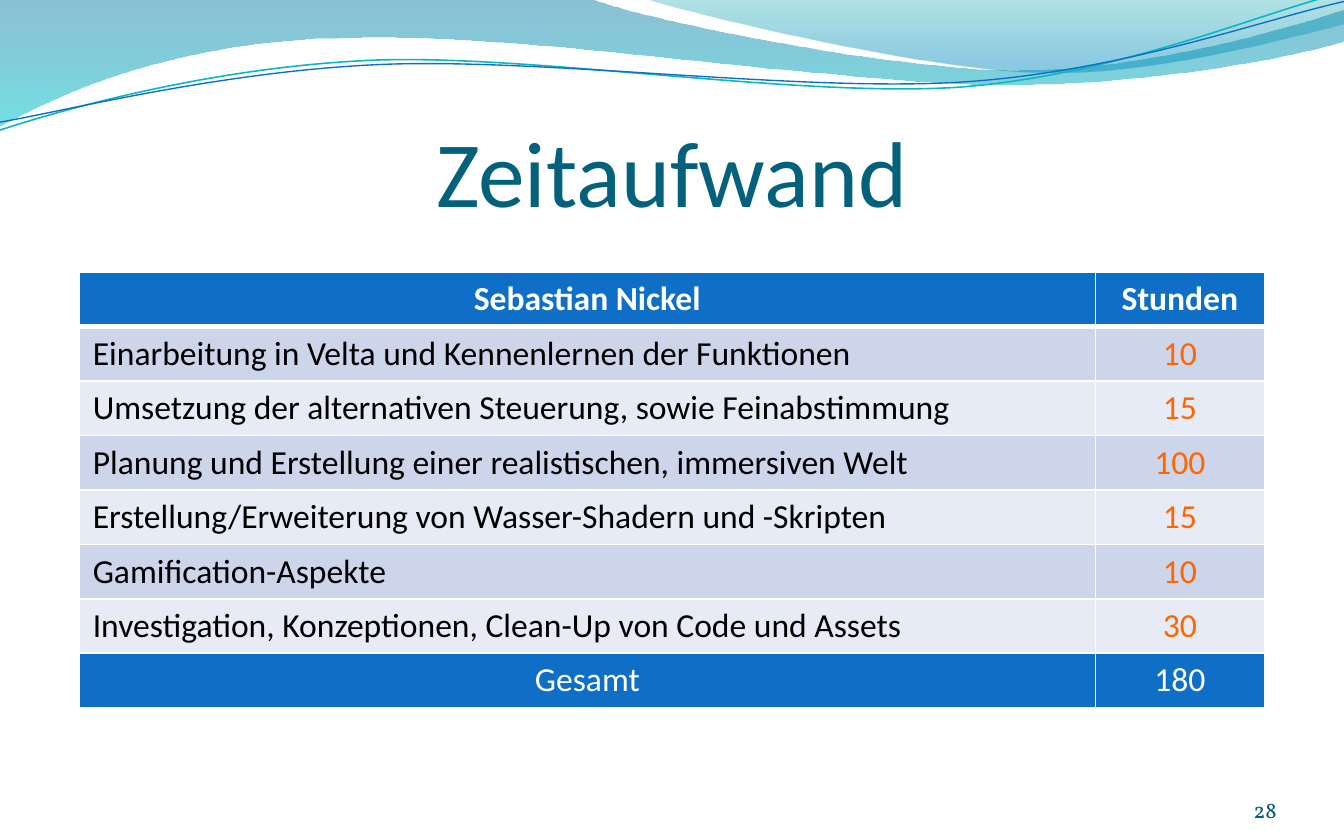
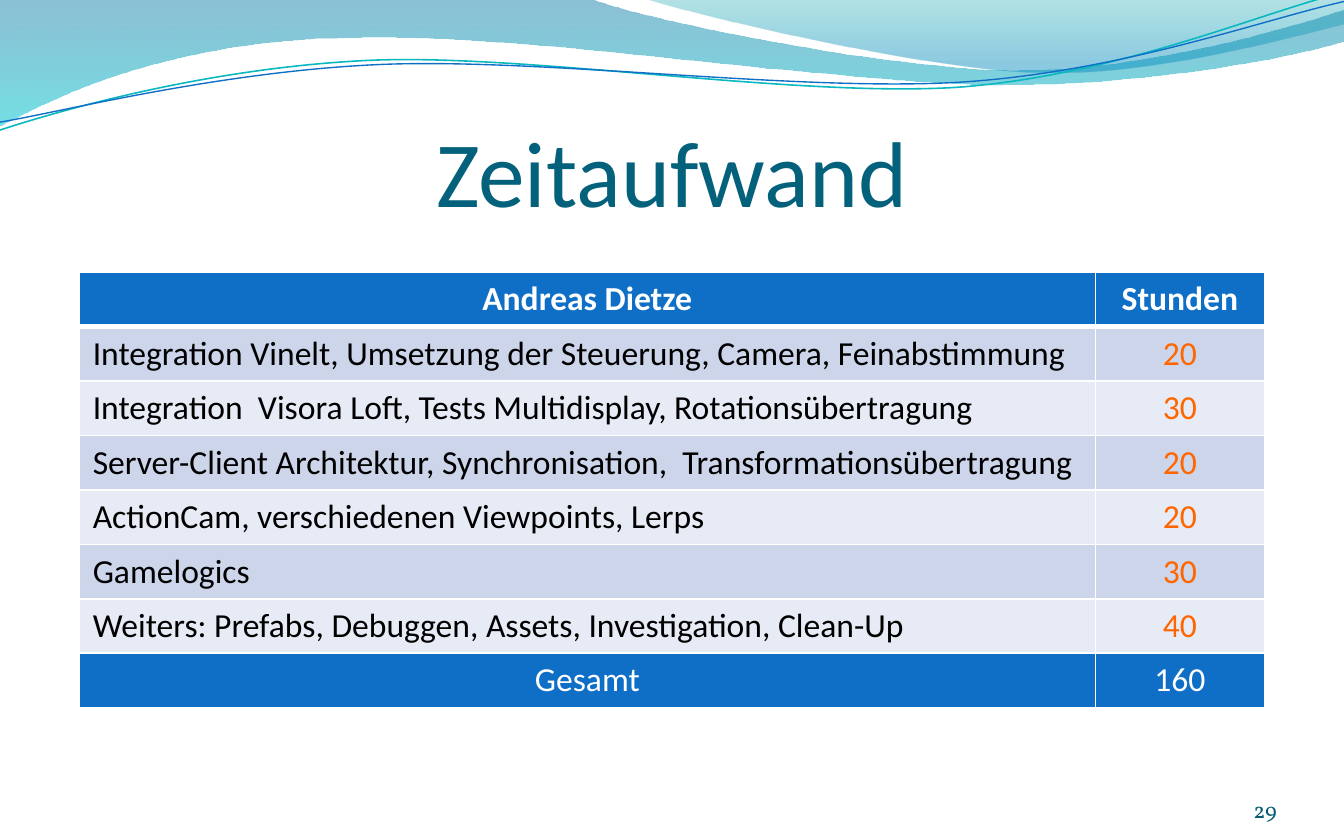
from pptx import Presentation
from pptx import util as u
from pptx.dml.color import RGBColor
from pptx.enum import text
from pptx.oxml import parse_xml
from pptx.oxml.ns import nsdecls, qn

COLOURS = {
    "title": "04617B", "number": "045D75", "head": "0F6FC6",
    "odd": "CCD5EA", "even": "E7EBF5", "hours": "FF6600",
    "white": "FFFFFF", "black": "000000", "teal line": "0AB8BF",
    "sea": "0074A1", "cyan": "00C6CF", "green": "00A1A9", "sky": "008BBF",
}
LEFT, CENTRE, RIGHT = text.PP_ALIGN.LEFT, text.PP_ALIGN.CENTER, text.PP_ALIGN.RIGHT

# Outlines in cm: a start point, then segments of one point (straight)
# or three points (cubic curve).
WIDE_WAVE = [
    (0, 0), [(11.18, -0.03)],
    [(12.09, 0.36), (16.87, 1.32), (19.25, 1.32)],
    [(21.67, 1.32), (24.33, 0.53), (25.4, 0.18)],
    [(25.43, 0.76)],
    [(24.97, 0.94), (22.1, 1.6), (18.95, 1.6)],
    [(15.8, 1.6), (9.7, 0.58), (6.53, 0.71)],
    [(3.28, 0.76), (1.17, 1.75), (-0.03, 2.39)],
]
RIGHT_WAVE = [
    (12.17, -0.03),
    [(12.93, 0.23), (17.32, 1.3), (19.53, 1.37)],
    [(21.74, 1.47), (24.41, 0.69), (25.4, 0.46)],
    [(25.4, 0)],
]
TEAL_STROKE = [
    (0, 2.46),
    [(1.22, 2.06), (4.01, 1.27), (7.04, 1.14)],
    [(10.03, 1.02), (15.04, 1.85), (18.11, 1.65)],
    [(21.16, 1.42), (23.85, 0.23), (25.35, -0.13)],
]
BLUE_STROKE = [
    (0, 2.31),
    [(1.19, 2.11), (4.17, 1.35), (7.19, 1.22)],
    [(10.24, 1.09), (15.16, 1.75), (18.21, 1.55)],
    [(21.23, 1.35), (23.9, 0.36), (25.4, 0.03)],
]

EFFORTS = [
    (28, "Sebastian Nickel", [
        ("Einarbeitung in Velta und Kennenlernen der Funktionen", 10),
        ("Umsetzung der alternativen Steuerung, sowie Feinabstimmung", 15),
        ("Planung und Erstellung einer realistischen, immersiven Welt", 100),
        ("Erstellung/Erweiterung von Wasser-Shadern und -Skripten", 15),
        ("Gamification-Aspekte", 10),
        ("Investigation, Konzeptionen, Clean-Up von Code und Assets", 30),
    ]),
    (29, "Andreas Dietze", [
        ("Integration Vinelt, Umsetzung der Steuerung, Camera, Feinabstimmung", 20),
        ("Integration  Visora Loft, Tests Multidisplay, Rotationsübertragung", 30),
        ("Server-Client Architektur, Synchronisation,  Transformationsübertragung", 20),
        ("ActionCam, verschiedenen Viewpoints, Lerps", 20),
        ("Gamelogics", 30),
        ("Weiters: Prefabs, Debuggen, Assets, Investigation, Clean-Up", 40),
    ]),
]


def rgb(name):
    return RGBColor.from_string(COLOURS[name])


def add_outline(page, outline, close):
    """Build a freeform through all points, then merge line triples into curves."""
    start, *segments = outline
    builder = page.shapes.build_freeform(*map(u.Cm, start))
    points = [(u.Cm(x), u.Cm(y)) for segment in segments for x, y in segment]
    builder.add_line_segments(points, close=close)
    shape = builder.convert_to_shape()
    shape.shadow.inherit = False
    lines = iter(list(shape._element.iter(qn("a:lnTo"))))
    for segment in segments:
        parts = [next(lines) for _ in segment]
        if len(parts) == 3:
            curve = parse_xml(f'<a:cubicBezTo {nsdecls("a")}/>')
            parts[0].addprevious(curve)
            for part in parts:
                curve.append(part[0])
                part.getparent().remove(part)
    return shape


def add_wave(page, outline, stops):
    """Add a filled wave; stops are (position, colour, opacity in percent)."""
    wave = add_outline(page, outline, close=True)
    wave.line.fill.background()
    wave.fill.gradient()
    wave.fill.gradient_angle = 270
    for stop, (position, colour, _) in zip(wave.fill.gradient_stops, stops):
        stop.position = position
        stop.color.rgb = rgb(colour)
    tints = wave._element.spPr.iter(qn("a:srgbClr"))
    for tint, (_, _, opacity) in zip(list(tints), stops):
        tint.append(parse_xml(f'<a:alpha {nsdecls("a")} val="{opacity * 1000}"/>'))


def add_stroke(page, outline, colour, width):
    stroke = add_outline(page, outline, close=False)
    stroke.fill.background()
    stroke.line.color.rgb = rgb(colour)
    stroke.line.width = u.Pt(width)


def write(frame, content, colour, size, align, font="Calibri", bold=False):
    para = frame.paragraphs[0]
    para.alignment = align
    span = para.add_run()
    span.text = content
    values = {"name": font, "size": u.Pt(size), "bold": bold}
    for name, value in values.items():
        setattr(span.font, name, value)
    span.font.color.rgb = rgb(colour)


def add_text(page, place, content, colour, size, align, top=0, font="Calibri"):
    box = page.shapes.add_textbox(*map(u.Cm, place))
    values = {
        "word_wrap": True, "vertical_anchor": text.MSO_ANCHOR.BOTTOM,
        "margin_left": 0, "margin_right": 0,
        "margin_top": u.Cm(top), "margin_bottom": 0,
    }
    for name, value in values.items():
        setattr(box.text_frame, name, value)
    write(box.text_frame, content, colour, size, align, font)


def add_borders(cell, widths):
    """Draw white borders; widths in points for left, right, top, bottom."""
    for side, width in zip("LRTB", widths):
        cell._tc.get_or_add_tcPr().append(parse_xml(
            f'<a:ln{side} {nsdecls("a")} w="{u.Pt(width)}"><a:solidFill>'
            f'<a:srgbClr val="{COLOURS["white"]}"/></a:solidFill></a:ln{side}>'))


def add_effort_table(page, person, tasks):
    total = sum(hours for _, hours in tasks)
    rows = [(person, "Stunden"), *tasks, ("Gesamt", total)]
    row_height = 1.03
    table = page.shapes.add_table(
        len(rows), 2, u.Cm(1.5), u.Cm(5.14), u.Cm(22.4), u.Cm(row_height * len(rows))).table
    for column, width in zip(table.columns, (19.2, 3.2)):
        column.width = u.Cm(width)
    for number, row in enumerate(rows):
        is_head = number == 0
        is_task = 0 < number < len(rows) - 1
        band = ("odd" if number % 2 else "even") if is_task else "head"
        inks = ("black", "hours") if is_task else ("white", "white")
        aligns = (LEFT if is_task else CENTRE, CENTRE)
        for column, (content, ink, align) in enumerate(zip(row, inks, aligns)):
            cell = table.cell(number, column)
            add_borders(cell, (1, 1, 3 if number == 1 else 1, 3 if is_head else 1))
            cell.fill.solid()
            cell.fill.fore_color.rgb = rgb(band)
            write(cell.text_frame, str(content), ink, 18, align, bold=is_head)


def add_frame(page, title, number):
    """Add what every page shares: waves, title and page number."""
    add_wave(page, WIDE_WAVE, [(0, "sea", 45), (1, "cyan", 55)])
    add_wave(page, RIGHT_WAVE, [(0, "green", 30), (0.8, "sky", 45)])
    add_stroke(page, TEAL_STROKE, "teal line", 0.85)
    add_stroke(page, BLUE_STROKE, "head", 0.75)
    add_text(page, (1.27, 1.63, 22.86, 2.64), title, "title", 50, CENTRE, top=0.13)
    add_text(page, (22.02, 14.72, 2.11, 0.84), str(number), "number", 12, RIGHT,
             font="Vollkorn")


def main():
    deck = Presentation()
    deck.slide_width, deck.slide_height = u.Cm(25.4), u.Cm(15.88)
    for number, person, tasks in EFFORTS:
        page = deck.slides.add_slide(deck.slide_layouts[6])
        add_frame(page, "Zeitaufwand", number)
        add_effort_table(page, person, tasks)
    deck.save("out.pptx")


if __name__ == "__main__":
    main()
